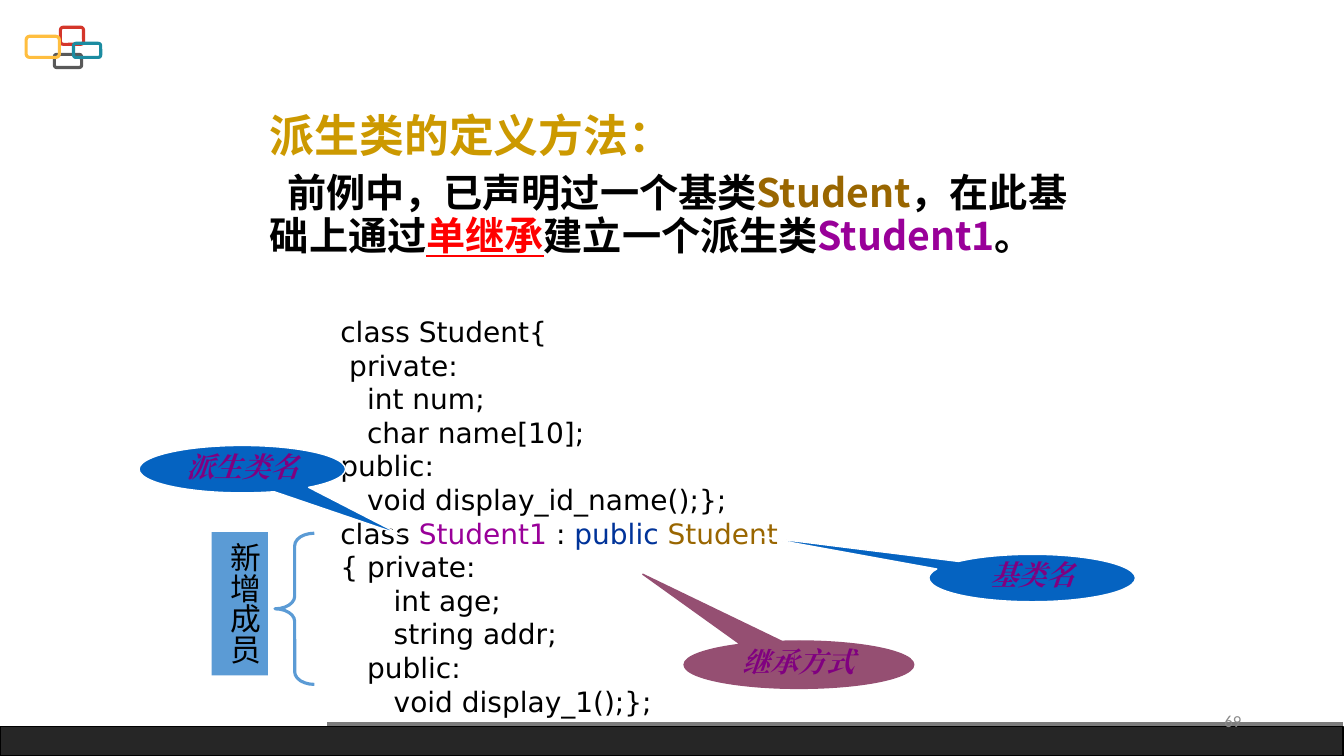
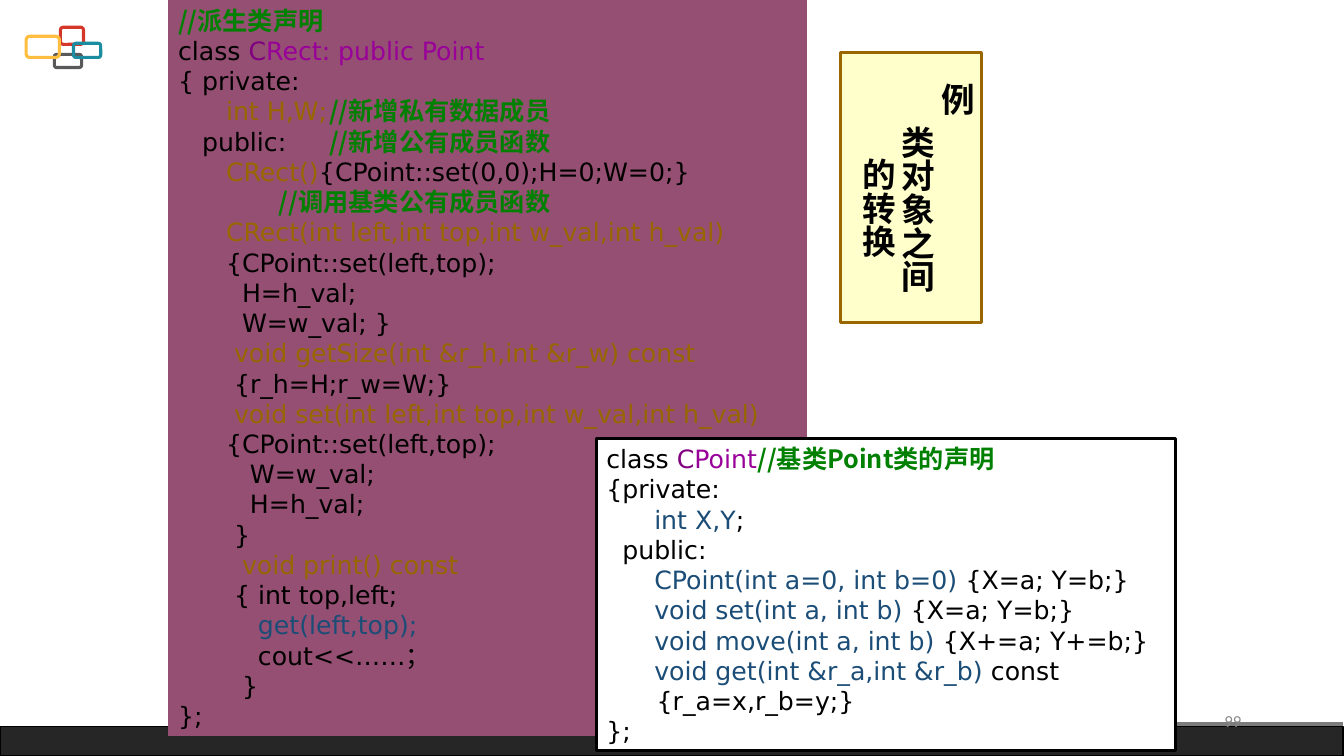
"""Build two slides on deriving C++ classes."""
from dataclasses import dataclass, field

from lxml import etree
from pptx import Presentation
from pptx.dml.color import RGBColor
from pptx.enum import shapes, text
from pptx.oxml import ns
from pptx.util import Inches, Pt


@dataclass(frozen=True)
class Theme:
    """Colours, fonts and type sizes."""
    heading_font: str = "Noto Sans CJK SC"
    code_font: str = "DejaVu Sans"
    callout_font: str = "Times New Roman"
    label_font: str = "Arial"
    number_font: str = "Calibri"
    heading: int = 32
    body: int = 28
    example: int = 24
    label: int = 22
    code: int = 20
    small_code: int = 18
    number: int = 12
    colours: dict = field(default_factory=lambda: {
        "black": "000000", "white": "FFFFFF", "gold": "CC9900", "brown": "996600",
        "red": "FF0000", "violet": "990099", "purple": "800080", "navy": "003399",
        "steel": "1B4D77", "green": "008000", "blue": "0563C1", "plum": "954F72",
        "sky": "5B9BD5", "cream": "FFFFCC", "grey": "898989", "band": "262626",
        "rule": "7C7C7C", "tile red": "D4362A", "tile grey": "595959",
        "tile amber": "FFBE3F", "tile teal": "1C8CA1"})

    def rgb(self, name):
        return RGBColor.from_string(self.colours[name])


THEME = Theme()
SHAPE = shapes.MSO_SHAPE
ALIGN = text.PP_ALIGN
CODE_INSETS = (0.1, 0.05, 0.1, 0.05)

TILES = [
    ("tile red", (0.6, 0.27, 0.23, 0.17)),
    ("tile grey", (0.54, 0.54, 0.27, 0.13)),
    ("tile amber", (0.26, 0.36, 0.33, 0.21)),
    ("tile teal", (0.73, 0.43, 0.27, 0.14)),
]

HEADING = [[("派生类的定义方法：", "gold")]]
INTRODUCTION = [[
    "前例中，已声明过一个基类", ("Student", "brown"), "，在此基础上通过",
    ("单继承", "red"), "建立一个派生类", ("Student1", "violet"), "。"]]
STUDENT_CODE = [
    ["class Student{"],
    [" private:"],
    ["   int num;"],
    ["   char name[10];"],
    ["public:"],
    ["   void display_id_name();};"],
    ["class ", ("Student1", "violet"), " : ", ("public ", "navy"), ("Student", "brown")],
    ["{ private:"],
    ["      int age;"],
    ["      string addr;"],
    ["   public:"],
    ["      void display_1();};"],
]
CALLOUTS = [
    ("派生类名", (1.38, 4.42, 2.05, 0.47), (0.77, 1.39), "blue", "white"),
    ("继承方式", (6.79, 6.36, 2.28, 0.47), (-0.68, -1.91), "plum", "plum"),
    ("基类名", (9.22, 5.5, 2.05, 0.47), (-1.33, -0.88), "blue", "white"),
]
NEW_MEMBERS = [["新增成员"]]

EXAMPLE = [["例"], ["类对象之间"], ["的转换"]]
EXAMPLE_INDENTS = (0.2, 0.63, 0.95)
RECT_CODE = [
    [("//派生类声明", "green")],
    ["class ", ("C", "purple"), ("Rect: public Point", "violet")],
    ["{ private:"],
    [("      int H,W;\t", "brown"), ("//新增私有数据成员", "green")],
    ["   public:\t", ("//新增公有成员函数", "green")],
    [("      CRect()", "brown"), "{CPoint::set(0,0);H=0;W=0;}"],
    ["\t\t", ("//调用基类公有成员函数", "green")],
    [("      CRect(int left,int top,int w_val,int h_val)", "brown")],
    ["      {CPoint::set(left,top);"],
    ["        H=h_val;"],
    ["        W=w_val; }"],
    [("       void getSize(int &r_h,int &r_w) const", "brown")],
    ["       {r_h=H;r_w=W;}"],
    [("       void set(int left,int top,int w_val,int h_val)", "brown")],
    ["      {CPoint::set(left,top);"],
    ["         W=w_val;"],
    ["         H=h_val;"],
    ["       }"],
    [("        void print() const", "brown")],
    ["       { int top,left;"],
    [("          get(left,top);", "steel")],
    ["          cout<<……；"],
    ["        }"],
    ["};"],
]
POINT_CODE = [
    ["class ", ("C", "purple"), ("Point\t", "violet"), ("//基类Point类的声明", "green")],
    ["{private:"],
    [("      int X,Y", "steel"), ";"],
    ["  public:"],
    [("      CPoint(int a=0, int b=0)", "steel"), " {X=a; Y=b;}"],
    [("      void set(int a, int b)", "steel"), " {X=a; Y=b;}"],
    [("      void move(int a, int b) ", "steel"), "{X+=a; Y+=b;}"],
    [("      void get(int &r_a,int &r_b)", "steel"), " const"],
    ["\t{r_a=x,r_b=y;}"],
    ["};"],
]


def place(shape, box):
    shape.left, shape.top, shape.width, shape.height = map(Inches, box)


def paint(shape, fill=None, line=None, width=1):
    if fill:
        shape.fill.solid()
        shape.fill.fore_color.rgb = THEME.rgb(fill)
    else:
        shape.fill.background()
    if line:
        shape.line.color.rgb = THEME.rgb(line)
        shape.line.width = Pt(width)
    else:
        shape.line.fill.background()


def add_shape(slide, kind, box, fill=None, line=None, width=1):
    shape = slide.shapes.add_shape(kind, *map(Inches, box))
    shape.shadow.inherit = False
    paint(shape, fill, line, width)
    return shape


def set_typeface(font, name):
    font.name = name
    etree.SubElement(font._rPr, ns.qn("a:ea")).set("typeface", name)


def set_layout(paragraph, indent, first_line):
    properties = paragraph._p.get_or_add_pPr()
    properties.set("marL", str(Inches(indent)))
    properties.set("indent", str(Inches(first_line)))
    etree.SubElement(properties, ns.qn("a:buNone"))
    tabs = etree.SubElement(properties, ns.qn("a:tabLst"))
    for position in (1, 2):
        etree.SubElement(tabs, ns.qn("a:tab"), pos=str(Inches(position)), algn="l")


def write(shape, lines, font, size, spacing=1.2, bold=False, italic=False,
          align=ALIGN.LEFT, anchor=text.MSO_ANCHOR.TOP, insets=CODE_INSETS,
          indents=None, first_line=0, colour="black", vertical=False):
    frame = shape.text_frame
    frame.word_wrap = True
    frame.auto_size = text.MSO_AUTO_SIZE.NONE
    frame.vertical_anchor = anchor
    (frame.margin_left, frame.margin_top,
     frame.margin_right, frame.margin_bottom) = map(Inches, insets)
    if vertical:
        frame._txBody.bodyPr.set("vert", "eaVert")
    for index, line in enumerate(lines):
        paragraph = frame.add_paragraph() if index else frame.paragraphs[0]
        set_layout(paragraph, indents[index] if indents else 0, first_line)
        paragraph.alignment = align
        paragraph.line_spacing = Pt(round(size * spacing, 1))
        paragraph.space_before = Pt(0)
        paragraph.font.size = Pt(size)
        paragraph.font.bold = bold
        paragraph.font.italic = italic
        set_typeface(paragraph.font, font)
        for part in line:
            words, tint = (part, colour) if isinstance(part, str) else part
            run = paragraph.add_run()
            run.text = words
            run.font.color.rgb = THEME.rgb(tint)
            if tint == "green":
                run.font.bold = True
                set_typeface(run.font, THEME.heading_font)
            if tint == "red":
                run.font.underline = True


def add_master_frame(presentation, slide):
    band = add_shape(slide, SHAPE.RECTANGLE, (0, 7.21, 13.33, 0.29), "band", "black")
    rule = slide.shapes.add_connector(
        shapes.MSO_CONNECTOR.STRAIGHT, *map(Inches, (3.25, 7.18, 13.33, 7.18)))
    rule.line.color.rgb = THEME.rgb("rule")
    rule.line.width = Pt(3)
    etree.SubElement(rule._element.spPr, ns.qn("a:effectLst"))
    tiles = [add_shape(slide, SHAPE.ROUNDED_RECTANGLE, box, line=colour, width=2.25)
             for colour, box in TILES]
    for shape in (band, rule, *tiles):
        presentation.slide_master.shapes.element.append(shape.element)


def add_number(slide, number):
    box = slide.shapes.add_textbox(*map(Inches, (9.42, 6.95, 3, 0.4)))
    write(box, [[number]], THEME.number_font, THEME.number, align=ALIGN.RIGHT,
          anchor=text.MSO_ANCHOR.MIDDLE, colour="grey")


def build_definition(slide):
    title, body = slide.shapes.title, slide.placeholders[1]
    place(title, (2.58, 1.07, 8.2, 0.6))
    write(title, HEADING, THEME.heading_font, THEME.heading, 1.08, bold=True)
    place(body, (2.58, 1.67, 8.2, 1.4))
    write(body, INTRODUCTION, THEME.heading_font, THEME.body, 1.08, bold=True,
          first_line=0.17)
    add_number(slide, "69")
    code = slide.shapes.add_textbox(*map(Inches, (3.28, 3.07, 5.99, 4.1)))
    write(code, STUDENT_CODE, THEME.code_font, THEME.code)
    for label, box, pointer, fill, line in CALLOUTS:
        callout = add_shape(slide, SHAPE.OVAL_CALLOUT, box, fill, line)
        callout.adjustments[0], callout.adjustments[1] = pointer
        write(callout, [[label]], THEME.callout_font, THEME.code, 0.96, bold=True,
              italic=True, align=ALIGN.CENTER, anchor=text.MSO_ANCHOR.MIDDLE,
              colour="purple")
    members = add_shape(slide, SHAPE.RECTANGLE, (2.1, 5.28, 0.56, 1.42), "sky")
    write(members, NEW_MEMBERS, THEME.label_font, THEME.label,
          insets=(0.05, 0.1, 0.05, 0.05), vertical=True)
    brace = add_shape(slide, SHAPE.LEFT_BRACE, (2.73, 5.29, 0.39, 1.5),
                      line="sky", width=2.25)
    brace.adjustments[0] = 0.32


def build_example(slide):
    add_number(slide, "99")
    rect = add_shape(slide, SHAPE.RECTANGLE, (1.67, 0, 6.34, 7.3), "plum")
    write(rect, RECT_CODE, THEME.code_font, THEME.small_code)
    point = add_shape(slide, SHAPE.RECTANGLE, (5.92, 4.35, 5.75, 3.1),
                      "white", "black", 2.25)
    write(point, POINT_CODE, THEME.code_font, THEME.small_code)
    title = slide.shapes.title
    place(title, (8.34, 0.52, 1.4, 2.68))
    paint(title, "cream", "brown", 2.25)
    write(title, EXAMPLE, THEME.label_font, THEME.example, 1.18, bold=True,
          insets=(0.05, 0.1, 0.05, 0.1), indents=EXAMPLE_INDENTS, vertical=True)


def main():
    presentation = Presentation()
    presentation.slide_width, presentation.slide_height = Inches(13.34), Inches(7.5)
    layouts = presentation.slide_layouts
    definition = presentation.slides.add_slide(layouts.get_by_name("Title and Content"))
    example = presentation.slides.add_slide(layouts.get_by_name("Title Only"))
    add_master_frame(presentation, definition)
    build_definition(definition)
    build_example(example)
    presentation.save("out.pptx")


if __name__ == "__main__":
    main()
